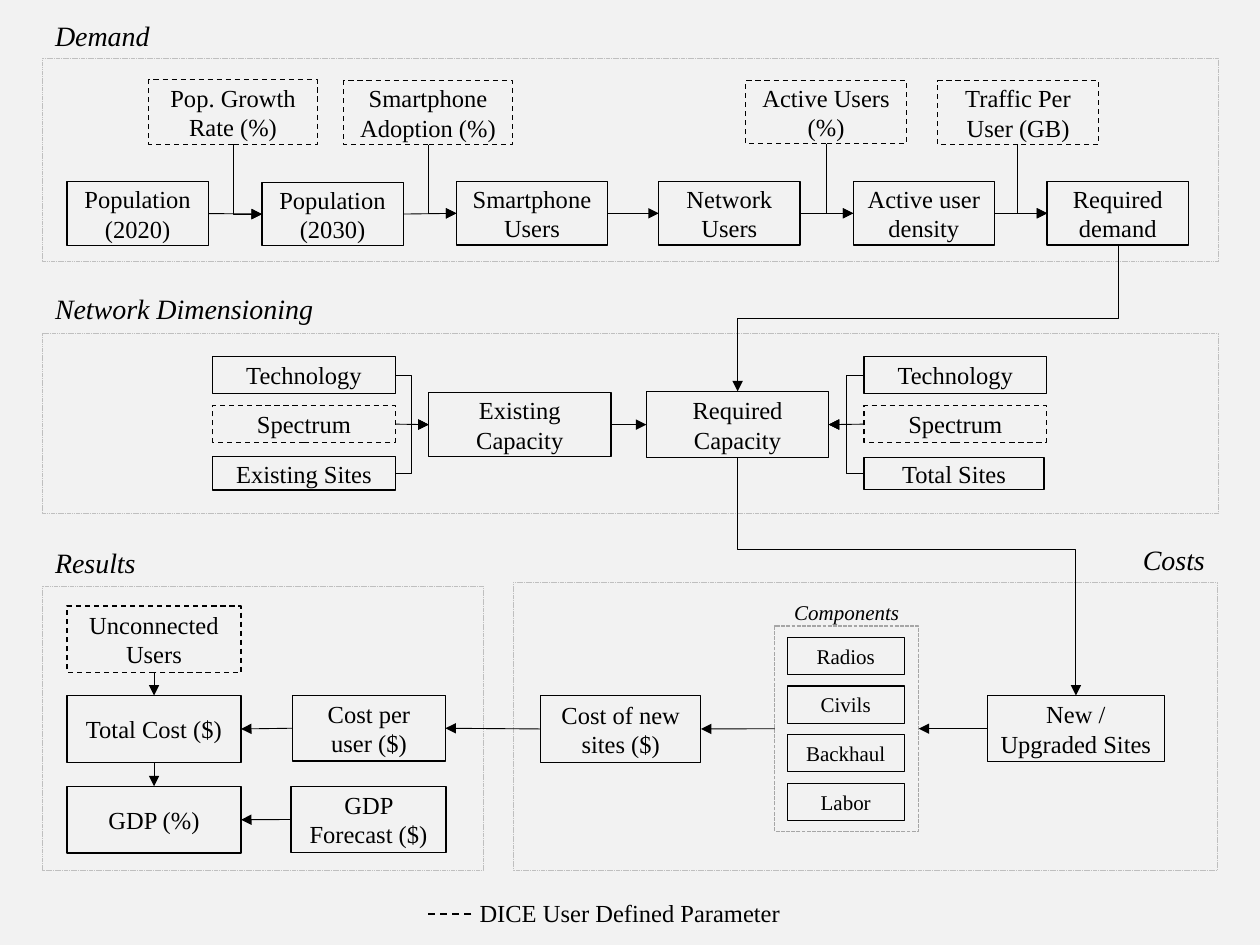
"""Build a flow chart slide of demand, network dimensioning, costs and results."""
from lxml.etree import SubElement
from pptx import Presentation
from pptx.dml.color import RGBColor
from pptx.enum.dml import MSO_LINE
from pptx.enum.shapes import MSO_CONNECTOR, MSO_SHAPE
from pptx.enum.text import MSO_ANCHOR, PP_ALIGN
from pptx.oxml.ns import qn
from pptx.util import Cm, Pt

INK = "000000"
DASH, DOT = MSO_LINE.DASH, MSO_LINE.SQUARE_DOT
LEFT, MID, RIGHT = PP_ALIGN.LEFT, PP_ALIGN.CENTER, PP_ALIGN.RIGHT
color = RGBColor.from_string

deck = Presentation()
deck.slide_width, deck.slide_height = Cm(25.4), Cm(19.05)
slide = deck.slides.add_slide(deck.slide_layouts[6])
slide.background.fill.solid()
slide.background.fill.fore_color.rgb = color("F2F2F2")


def put(text, spot, size=14, align=MID, slant=False, edge=INK, width=0.75, dash=None):
    place = [Cm(n) for n in spot]
    if edge:
        shape = slide.shapes.add_shape(MSO_SHAPE.RECTANGLE, *place)
        shape.shadow.inherit = False
        shape.fill.background()
        shape.line.color.rgb = color(edge)
        for name, value in {"width": Pt(width), "dash_style": dash}.items():
            setattr(shape.line, name, value)
    else:
        shape = slide.shapes.add_textbox(*place)
    if text:
        frame = shape.text_frame
        for name, value in {"word_wrap": True, "vertical_anchor": MSO_ANCHOR.MIDDLE}.items():
            setattr(frame, name, value)
        para = frame.paragraphs[0]
        para.alignment = align
        run = para.add_run()
        run.text = text
        look = {"name": "Times New Roman", "size": Pt(size), "italic": slant}
        for name, value in look.items():
            setattr(run.font, name, value)
        run.font.color.rgb = color(INK)
    return shape


def link(kind, ends, width=0.5, dash=None, head=True):
    wire = slide.shapes.add_connector(kind, *[Cm(n) for n in ends])
    wire.line.color.rgb = color(INK)
    for name, value in {"width": Pt(width), "dash_style": dash}.items():
        setattr(wire.line, name, value)
    props = wire._element.spPr
    if head:
        SubElement(props.find(qn("a:ln")), qn("a:tailEnd"), type="triangle")
    SubElement(props, qn("a:effectLst"))
    return wire


for spot in [
    (0.86, 1.17, 23.7, 4.09),
    (0.86, 6.71, 23.7, 3.63),
    (0.86, 11.81, 8.89, 5.74),
    (10.34, 11.73, 14.2, 5.82),
]:
    put("", spot, edge="BFBFBF", width=0.25, dash=DOT)

for text, spot, size, align, slant in [
    ("Demand", (0.86, 0.23, 23.7, 0.95), 16, LEFT, True),
    ("Network Dimensioning", (0.86, 5.74, 23.7, 0.95), 16, LEFT, True),
    ("Results", (0.86, 10.87, 8.89, 0.95), 16, LEFT, True),
    ("Costs", (10.34, 10.8, 14.2, 0.95), 16, RIGHT, True),
    ("Components", (15.62, 11.86, 2.9, 0.95), 12, MID, True),
    ("DICE User Defined Parameter", (0, 17.93, 25.4, 0.95), 14, MID, False),
]:
    put(text, spot, size, align, slant, edge=None)

box = {"Components": put("", (15.62, 12.62, 2.9, 4.14), edge="A6A6A6", dash=DOT)}
for text, *spot in [
    ("Population (2020)", 1.35, 3.66, 2.85, 1.29),
    ("Population (2030)", 5.28, 3.68, 2.85, 1.27),
    ("Smartphone Users", 9.2, 3.66, 3.05, 1.28),
    ("Network Users", 13.28, 3.66, 2.85, 1.28),
    ("Active user density", 17.2, 3.66, 2.85, 1.28),
    ("Required demand", 21.11, 3.66, 2.85, 1.28),
    ("Existing Capacity", 8.64, 7.92, 3.68, 1.28),
    ("Required Capacity", 13.03, 7.89, 3.68, 1.34),
    ("New / Upgraded Sites", 19.91, 14.02, 3.56, 1.34),
    ("Cost of new sites ($)", 10.9, 14.02, 3.23, 1.35),
    ("Cost per user ($)", 5.9, 14.02, 3.08, 1.32),
    ("Total Cost ($)", 1.35, 14.02, 3.51, 1.35),
    ("GDP Forecast ($)", 5.87, 15.85, 3.12, 1.34),
    ("GDP (%)", 1.35, 15.85, 3.51, 1.35),
]:
    box[text] = put(text, spot)

for text, *spot in [
    ("Pop. Growth Rate (%)", 3, 1.61, 3.4, 1.3),
    ("Smartphone Adoption (%)", 6.93, 1.62, 3.4, 1.3),
    ("Active Users (%)", 15.03, 1.63, 3.25, 1.27),
    ("Traffic Per User (GB)", 18.9, 1.63, 3.25, 1.29),
    ("Unconnected Users", 1.35, 12.22, 3.51, 1.34),
]:
    box[text] = put(text, spot, dash=DASH)

for row, text in enumerate(["Radios", "Civils", "Backhaul", "Labor"]):
    put(text, (15.87, 12.85 + 0.98 * row, 2.36, 0.75), 12)

for x, last, spot, goal, start, end, side in [
    (4.29, "Existing Sites", (4.29, 9.2, 3.68, 0.68), "Existing Capacity", 7.97, 8.64, 3),
    (17.42, "Total Sites", (17.42, 9.23, 3.63, 0.64), "Required Capacity", 17.42, 16.71, 1),
]:
    put("Technology", (x, 7.19, 3.68, 0.74))
    band = put("Spectrum", (x, 8.18, 3.68, 0.74), dash=DASH)
    put(last, spot)
    for y in (7.56, 9.54):
        link(MSO_CONNECTOR.ELBOW, (start, y, end, 8.56))
    wire = link(MSO_CONNECTOR.STRAIGHT, (start, 8.56, end, 8.56))
    wire.begin_connect(band, side)
    wire.end_connect(box[goal], 4 - side)

for tail, out, goal, into in [
    ("Population (2020)", 3, "Population (2030)", 1),
    ("Population (2030)", 3, "Smartphone Users", 1),
    ("Smartphone Users", 3, "Network Users", 1),
    ("Network Users", 3, "Active user density", 1),
    ("Active user density", 3, "Required demand", 1),
    ("Existing Capacity", 3, "Required Capacity", 1),
    ("New / Upgraded Sites", 1, "Components", 3),
    ("Components", 1, "Cost of new sites ($)", 3),
    ("Cost of new sites ($)", 1, "Cost per user ($)", 3),
    ("Cost per user ($)", 1, "Total Cost ($)", 3),
    ("GDP Forecast ($)", 1, "GDP (%)", 3),
    ("Unconnected Users", 2, "Total Cost ($)", 0),
    ("Total Cost ($)", 2, "GDP (%)", 0),
]:
    wire = link(MSO_CONNECTOR.STRAIGHT, (0, 0, 0, 0))
    wire.begin_connect(box[tail], out)
    wire.end_connect(box[goal], into)

for ax, ay, bx, by, bend in [
    (4.7, 2.91, 5.28, 4.32, None),
    (8.63, 2.92, 9.2, 4.3, None),
    (16.66, 2.9, 17.2, 4.3, None),
    (20.52, 2.92, 21.11, 4.3, None),
    (22.54, 4.94, 14.87, 7.89, 50000),
    (14.87, 9.23, 21.69, 14.02, 38400),
]:
    midx, midy = (ax + bx) / 2, (ay + by) / 2
    sign = 1 if bx > ax else -1
    halfw, halfh = sign * (by - ay) / 2, abs(bx - ax) / 2
    ends = (midx + halfw, midy - halfh, midx - halfw, midy + halfh)
    props = link(MSO_CONNECTOR.ELBOW, ends)._element.spPr
    props.find(qn("a:xfrm")).set("rot", str((180 + 90 * sign) * 60000))
    geom = props.find(qn("a:prstGeom"))
    if bend:
        SubElement(geom.find(qn("a:avLst")), qn("a:gd"), name="adj1", fmla=f"val {bend}")
    else:
        geom.set("prst", "bentConnector2")

link(MSO_CONNECTOR.STRAIGHT, (9.5, 18.42, 8.61, 18.42), 1, DASH, False)

deck.save("out.pptx")
